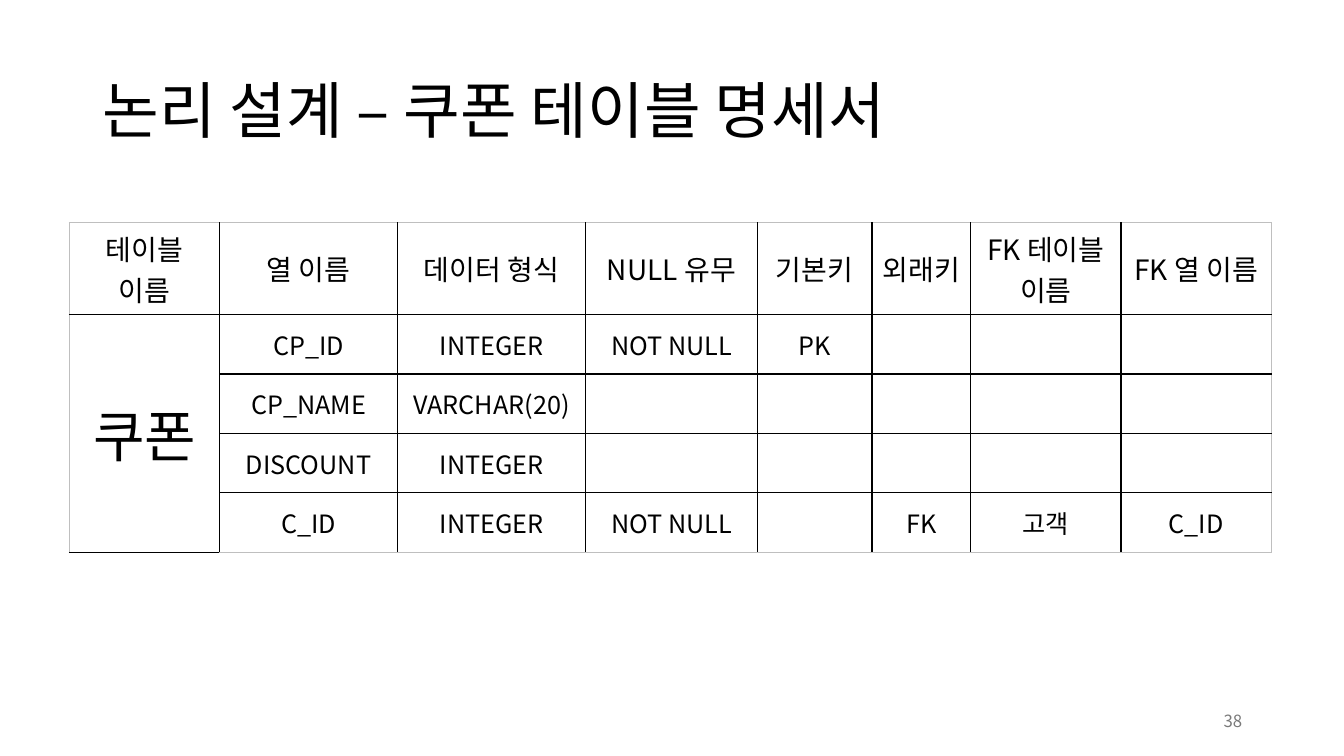
"""Build the coupon table specification slide."""
from dataclasses import dataclass

from lxml.etree import SubElement
from pptx import Presentation
from pptx.dml.color import RGBColor
from pptx.enum.text import MSO_ANCHOR, PP_ALIGN
from pptx.oxml.ns import qn
from pptx.util import Inches, Pt


@dataclass(frozen=True)
class Theme:
    font: str = "Noto Sans CJK KR"
    ink: str = "000000"
    muted: str = "797979"
    frame: str = "BFBFBF"
    paper: str = "FFFFFF"
    title_size: int = 44
    entity_size: int = 40
    header_size: int = 20
    body_size: int = 18
    number_size: int = 12


theme = Theme()


def write(frame, text, size, color, align):
    """Fill a text frame with one styled, vertically centred paragraph."""
    frame.text = text
    frame.word_wrap = True
    frame.vertical_anchor = MSO_ANCHOR.MIDDLE
    para = frame.paragraphs[0]
    para.alignment = align
    for span in para.runs:
        span.font.size = Pt(size)
        span.font.name = theme.font
        span.font.color.rgb = RGBColor.from_string(color)
        SubElement(span.font._element, qn("a:ea"), typeface=theme.font)
    return para


def draw_borders(cell, edges):
    """Draw the cell's borders, given a colour for each side."""
    properties = cell._tc.get_or_add_tcPr()
    for index, (side, color) in enumerate(edges.items()):
        line = properties.makeelement(qn(f"a:ln{side}"), {"w": str(Pt(1))})
        fill = SubElement(line, qn("a:solidFill"))
        SubElement(fill, qn("a:srgbClr"), val=color)
        properties.insert(index, line)


deck = Presentation()
deck.slide_width = Inches(13.33)
deck.slide_height = Inches(7.5)
page = deck.slides.add_slide(deck.slide_layouts[6])

title_box = page.shapes.add_textbox(Inches(0.92), Inches(0.4), Inches(11.5), Inches(1.45))
title = write(title_box.text_frame, "논리 설계 – 쿠폰 테이블 명세서",
              theme.title_size, theme.ink, PP_ALIGN.LEFT)
title.line_spacing = 0.9

number_box = page.shapes.add_textbox(Inches(9.42), Inches(6.95), Inches(3), Inches(0.4))
write(number_box.text_frame, "38", theme.number_size, theme.muted, PP_ALIGN.RIGHT)

rows = [
    ["테이블 이름", "열 이름", "데이터 형식", "NULL 유무", "기본키", "외래키",
     "FK 테이블 이름", "FK 열 이름"],
    ["쿠폰", "CP_ID", "INTEGER", "NOT NULL", "PK", "", "", ""],
    ["", "CP_NAME", "VARCHAR(20)", "", "", "", "", ""],
    ["", "DISCOUNT", "INTEGER", "", "", "", "", ""],
    ["", "C_ID", "INTEGER", "NOT NULL", "", "FK", "고객", "C_ID"],
]
column_widths = [1.49, 1.76, 1.87, 1.7, 1.14, 0.98, 1.49, 1.49]
row_heights = [0.91] + [0.59] * 4
last_row = len(rows) - 1
last_column = len(column_widths) - 1

table = page.shapes.add_table(
    len(rows), len(column_widths), Inches(0.69), Inches(2.21),
    Inches(sum(column_widths)), Inches(sum(row_heights))).table
table.first_row = False
table.horz_banding = False
for column, width in zip(table.columns, column_widths):
    column.width = Inches(width)
for row, height in zip(table.rows, row_heights):
    row.height = Inches(height)
table.cell(1, 0).merge(table.cell(last_row, 0))

for r, values in enumerate(rows):
    for c, value in enumerate(values):
        cell = table.cell(r, c)
        cell.fill.solid()
        cell.fill.fore_color.rgb = RGBColor.from_string(theme.paper)
        cell.vertical_anchor = MSO_ANCHOR.MIDDLE
        if r == 0:
            size = theme.header_size
        elif c == 0:
            size = theme.entity_size
        else:
            size = theme.body_size
        if value:
            write(cell.text_frame, value, size, theme.ink, PP_ALIGN.CENTER)
        outer = {"L": c == 0, "R": c == last_column, "T": r == 0, "B": r == last_row}
        draw_borders(cell, {side: theme.frame if edge else theme.ink
                            for side, edge in outer.items()})

deck.save("out.pptx")
